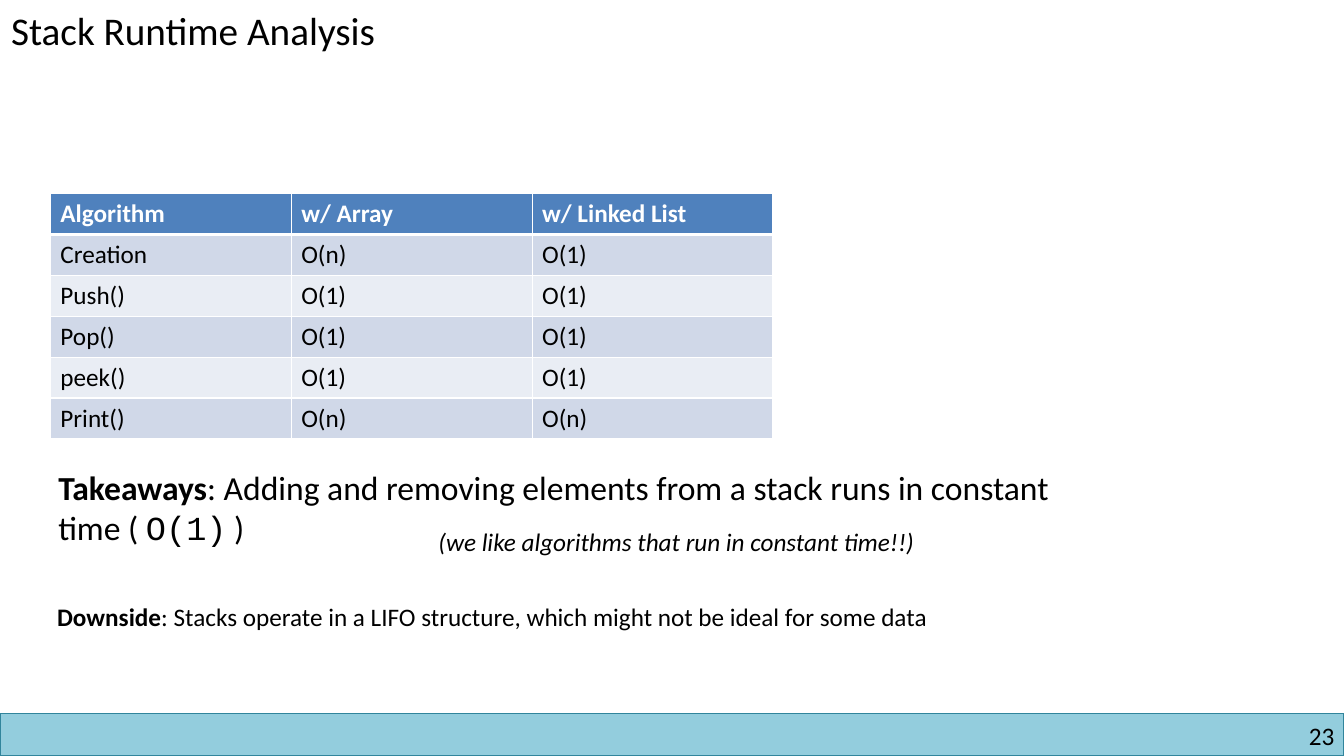
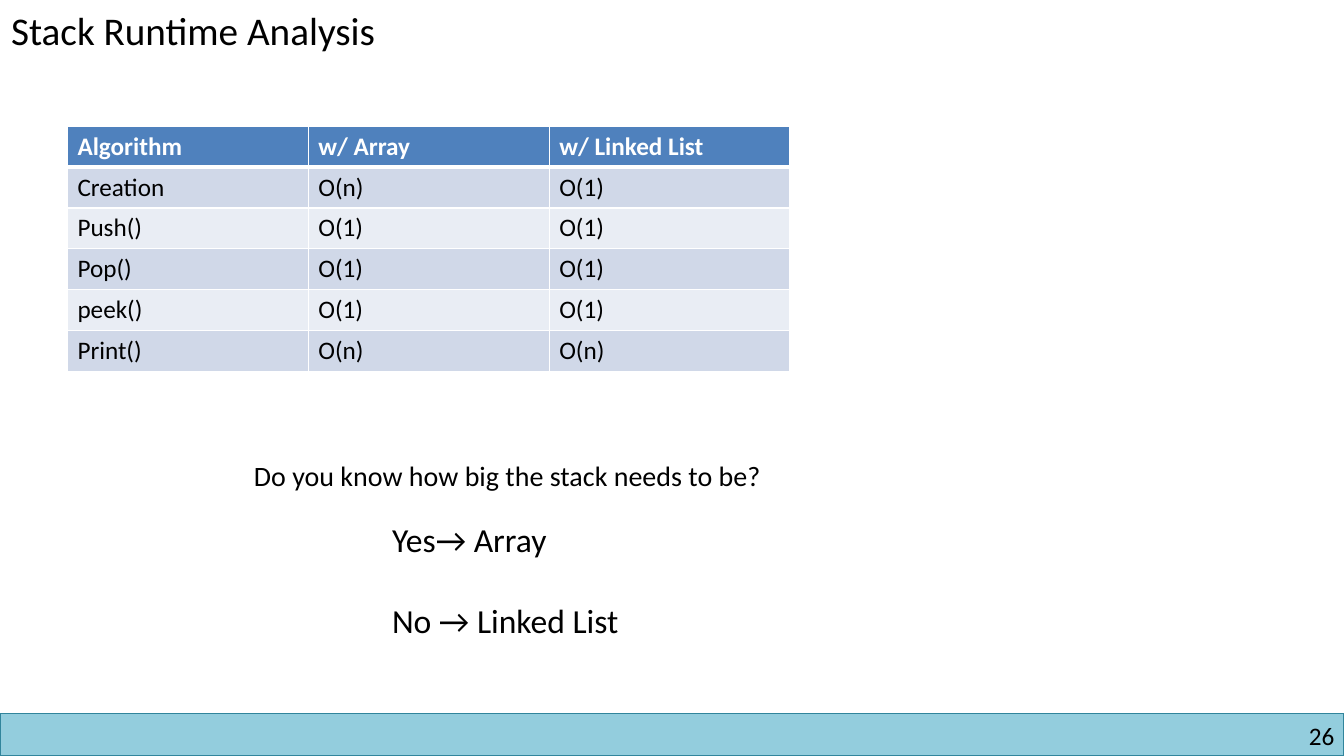
from dataclasses import dataclass

import lxml.etree
import pptx
import pptx.dml.color
import pptx.enum.shapes
import pptx.enum.text
import pptx.oxml.ns
import pptx.slide
import pptx.util

Cm = pptx.util.Cm
Pt = pptx.util.Pt
ALIGN = pptx.enum.text.PP_ALIGN

# Shared look
WIDE, HIGH = 33.87, 19.05
BAND = 1.07
FONT, CODE = "Calibri", "Courier New"
BLACK, WHITE = "000000", "FFFFFF"
AQUA, TEAL = "93CDDD", "31859C"
HEAD, ROWS = "4F81BD", ("D0D8E8", "E9EDF4")
COL, ROW = 6.07, 1.03
TITLE = "Stack Runtime Analysis"
COSTS = (
    ("Algorithm", "w/ Array", "w/ Linked List"),
    ("Creation", "O(n)", "O(1)"),
    ("Push()", "O(1)", "O(1)"),
    ("Pop()", "O(1)", "O(1)"),
    ("peek()", "O(1)", "O(1)"),
    ("Print()", "O(n)", "O(n)"),
)


@dataclass(frozen=True)
class Span:
    text: str
    bold: bool = False
    slant: bool = False
    face: str = FONT


@dataclass(frozen=True)
class Note:
    left: float
    top: float
    width: float
    height: float
    size: float
    lines: tuple[tuple[Span, ...], ...]
    gap: float = 0
    align: ALIGN = ALIGN.LEFT
    inset: bool = True


@dataclass(frozen=True)
class Page:
    number: int
    left: float
    top: float
    notes: tuple[Note, ...]


PAGES = (
    Page(23, 1.27, 4.88, (
        Note(1.22, 11.63, 26.67, 2.31, 24, ((
            Span("Takeaways", bold=True),
            Span(": Adding and removing elements from a stack runs in constant time ( "),
            Span("O(1)", face=CODE),
            Span(" )"),
        ),)),
        Note(10.8, 13.13, 13.41, 1.02, 18, ((
            Span("(we like algorithms that run in constant time!!)", slant=True),
        ),)),
        Note(1.19, 15.04, 24.77, 1.02, 18, ((
            Span("Downside", bold=True),
            Span(": Stacks operate in a LIFO structure, which might not be ideal for some data"),
        ),)),
    )),
    Page(26, 1.7, 3.18, (
        Note(6.15, 11.43, 14.63, 1.12, 20, (
            (Span("Do you know how big the stack needs to be?"),),
        )),
        Note(9.63, 12.95, 7.01, 3.33, 24, (
            (Span("Yes→ Array"),),
            (Span("No → Linked List"),),
        ), gap=29),
    )),
)


def color(code: str) -> pptx.dml.color.RGBColor:
    return pptx.dml.color.RGBColor.from_string(code)


def style(run, size: float, ink: str, span: Span) -> None:
    font = run.font
    font.name, font.size = span.face, Pt(size)
    font.bold, font.italic = span.bold, span.slant
    font.color.rgb = color(ink)


def write(slide: pptx.slide.Slide, note: Note) -> None:
    box = slide.shapes.add_textbox(
        Cm(note.left), Cm(note.top), Cm(note.width), Cm(note.height))
    frame = box.text_frame
    frame.word_wrap = True
    if not note.inset:
        frame.margin_left = frame.margin_right = 0
        frame.margin_top = frame.margin_bottom = 0
    for i, line in enumerate(note.lines):
        para = frame.add_paragraph() if i else frame.paragraphs[0]
        para.alignment = note.align
        if i:
            para.space_before = Pt(note.gap)
        for span in line:
            run = para.add_run()
            run.text = span.text
            style(run, note.size, BLACK, span)


def edge(cell, side: str, width: float) -> None:
    name = pptx.oxml.ns.qn
    line = lxml.etree.SubElement(
        cell._tc.get_or_add_tcPr(), name(f"a:ln{side}"), w=str(Pt(width)))
    fill = lxml.etree.SubElement(line, name("a:solidFill"))
    lxml.etree.SubElement(fill, name("a:srgbClr"), val=WHITE)


def grid(slide: pptx.slide.Slide, left: float, top: float) -> None:
    count, wide = len(COSTS), len(COSTS[0])
    table = slide.shapes.add_table(
        count, wide, Cm(left), Cm(top), Cm(COL * wide), Cm(ROW * count)).table
    table.horz_banding = False
    for col in table.columns:
        col.width = Cm(COL)
    for r, texts in enumerate(COSTS):
        table.rows[r].height = Cm(ROW)
        for c, text in enumerate(texts):
            cell = table.cell(r, c)
            # Borders go before the fill; the header rule is thicker
            for side in "LRTB":
                thick = (r, side) in ((0, "B"), (1, "T"))
                edge(cell, side, 3 if thick else 1)
            cell.fill.solid()
            cell.fill.fore_color.rgb = color(ROWS[(r - 1) % 2] if r else HEAD)
            cell.text_frame.text = text
            run = cell.text_frame.paragraphs[0].runs[0]
            style(run, 18, BLACK if r else WHITE, Span(text, bold=r == 0))


def frame(slide: pptx.slide.Slide, number: int) -> None:
    # Footer band
    band = slide.shapes.add_shape(
        pptx.enum.shapes.MSO_SHAPE.RECTANGLE,
        Cm(0), Cm(HIGH - BAND), Cm(WIDE), Cm(BAND))
    band.shadow.inherit = False
    band.fill.solid()
    band.fill.fore_color.rgb = color(AQUA)
    band.line.color.rgb = color(TEAL)
    band.line.width = Pt(1)
    # Page number and title
    write(slide, Note(25.83, 18.16, 7.8, 0.76, 18, ((Span(str(number)),),),
                      align=ALIGN.RIGHT, inset=False))
    write(slide, Note(0.03, 0.03, 26.24, 1.45, 28, ((Span(TITLE),),)))


def main() -> None:
    deck = pptx.Presentation()
    deck.slide_width, deck.slide_height = Cm(WIDE), Cm(HIGH)
    for page in PAGES:
        slide = deck.slides.add_slide(deck.slide_layouts[6])
        frame(slide, page.number)
        grid(slide, page.left, page.top)
        for note in page.notes:
            write(slide, note)
    deck.save("out.pptx")


if __name__ == "__main__":
    main()
